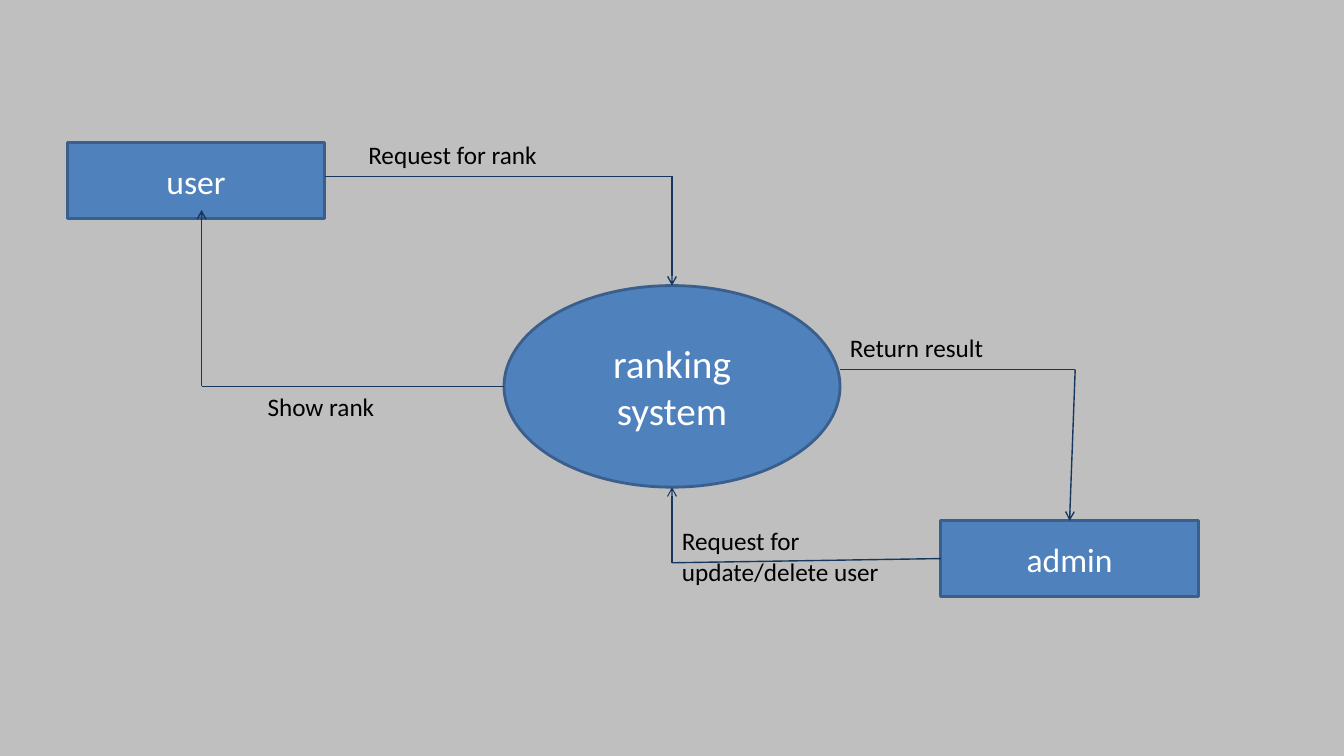
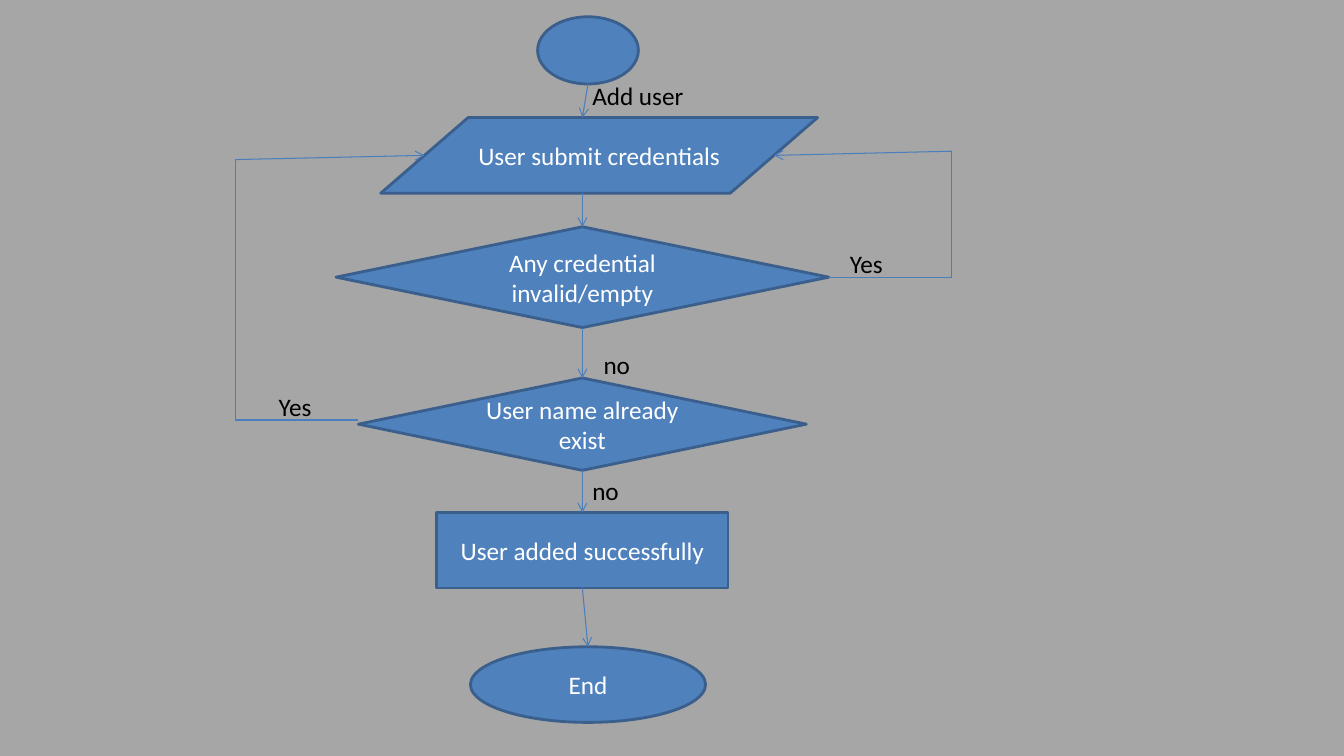
from dataclasses import dataclass
from itertools import pairwise

from lxml import etree
from pptx import Presentation
from pptx.dml.color import RGBColor
from pptx.enum.shapes import MSO_CONNECTOR, MSO_SHAPE
from pptx.enum.text import MSO_ANCHOR, MSO_AUTO_SIZE, PP_ALIGN
from pptx.oxml.ns import qn
from pptx.util import Inches, Pt

RECTANGLE = MSO_SHAPE.RECTANGLE
ELLIPSE = MSO_SHAPE.OVAL
DECISION = MSO_SHAPE.FLOWCHART_DECISION
INPUT = MSO_SHAPE.FLOWCHART_DATA
STRAIGHT = MSO_CONNECTOR.STRAIGHT
CENTER = PP_ALIGN.CENTER
MIDDLE = MSO_ANCHOR.MIDDLE
GROW = MSO_AUTO_SIZE.SHAPE_TO_FIT_TEXT
TOP, LEFT, BOTTOM, RIGHT = range(4)


@dataclass(frozen=True)
class Theme:
    font: str = "Calibri"
    data_flow_ground: str = "BFBFBF"
    flowchart_ground: str = "A6A6A6"
    node_fill: str = "4F81BD"
    node_line: str = "3A5F8C"
    node_text: str = "FFFFFF"
    label_text: str = "000000"
    data_flow_arrow: str = "17375E"
    flowchart_arrow: str = "4B7EBC"
    system_size: int = 28
    actor_size: int = 24
    body_size: int = 18
    node_weight: float = 2
    arrow_weight: float = 1
    thin_weight: float = 0.75


THEME = Theme()


@dataclass(frozen=True)
class Grid:
    """A box in inches, divided into 120 columns and 90 rows."""
    left: float
    top: float
    width: float
    height: float

    def size(self, columns, rows):
        return Inches(self.width * columns / 120), Inches(self.height * rows / 90)

    def point(self, column, row):
        across, down = self.size(column, row)
        return Inches(self.left) + across, Inches(self.top) + down

    def place(self, column, row, columns, rows):
        return *self.point(column, row), *self.size(columns, rows)


def write(shape, text, size, color):
    para = shape.text_frame.paragraphs[0]
    para.text = text
    para.font.name = THEME.font
    para.font.size = Pt(size)
    para.font.color.rgb = RGBColor.from_string(color)
    return para


def add_page(deck, ground):
    page = deck.slides.add_slide(deck.slide_layouts[6])
    page.background.fill.solid()
    page.background.fill.fore_color.rgb = RGBColor.from_string(ground)
    return page


def add_node(page, grid, kind, cells, text="", size=THEME.body_size):
    node = page.shapes.add_shape(kind, *grid.place(*cells))
    node.shadow.inherit = False
    node.fill.solid()
    node.fill.fore_color.rgb = RGBColor.from_string(THEME.node_fill)
    node.line.color.rgb = RGBColor.from_string(THEME.node_line)
    node.line.width = Pt(THEME.node_weight)
    if text:
        node.text_frame.vertical_anchor = MIDDLE
        write(node, text, size, THEME.node_text).alignment = CENTER
    return node


def add_label(page, grid, cells, text, wrap=True):
    label = page.shapes.add_textbox(*grid.place(*cells))
    label.text_frame.word_wrap = wrap
    label.text_frame.auto_size = GROW
    write(label, text, THEME.body_size, THEME.label_text)


def add_route(page, grid, points, color, weight, arrow=True, start=None, end=None):
    """Draw lines through the points; start and end are (node, side) joins."""
    lines = []
    for first, second in pairwise(points):
        line = page.shapes.add_connector(
            STRAIGHT, *grid.point(*first), *grid.point(*second))
        line.line.color.rgb = RGBColor.from_string(color)
        line.line.width = Pt(weight)
        etree.SubElement(line._element.spPr, qn("a:effectLst"))
        lines.append(line)
    if arrow:
        outline = lines[-1].line._get_or_add_ln()
        etree.SubElement(outline, qn("a:tailEnd"), type="arrow")
    if start:
        lines[0].begin_connect(*start)
    if end:
        lines[-1].end_connect(*end)


def draw_data_flow(page, grid):
    system = add_node(page, grid, ELLIPSE, (45, 34, 30, 24),
                      "ranking system", THEME.system_size)
    add_node(page, grid, RECTANGLE, (6, 17, 23, 9), "user", THEME.actor_size)
    admin = add_node(page, grid, RECTANGLE, (84, 62, 23, 9),
                     "admin", THEME.actor_size)

    color, weight = THEME.data_flow_arrow, THEME.arrow_weight
    add_route(page, grid, [(84, 66.5), (60, 67)], color, weight,
              arrow=False, start=(admin, LEFT))
    add_route(page, grid, [(60, 67), (60, 58)], color, THEME.thin_weight)
    add_route(page, grid, [(45, 46), (18, 46), (18, 25)], color, weight)
    add_route(page, grid, [(29, 21), (60, 21), (60, 34)], color, weight,
              end=(system, TOP))
    add_route(page, grid, [(75, 44), (96, 44), (95.5, 62)], color, weight,
              end=(admin, TOP))

    for cells, text in (
        ((32, 16, 29, 8.5), "Request for rank"),
        ((23, 46, 20, 4.8), "Show rank"),
        ((60, 62, 25, 8.5), "Request for update/delete user"),
        ((75, 39, 24, 4.8), "Return result"),
    ):
        add_label(page, grid, cells, text)


def draw_flowchart(page, grid):
    add_node(page, grid, ELLIPSE, (48, 2, 9, 8))
    add_node(page, grid, INPUT, (34, 14, 39, 9), "User submit credentials")
    validity = add_node(page, grid, DECISION, (30, 27, 44, 12),
                        "Any credential invalid/empty")
    duplicate = add_node(page, grid, DECISION, (32, 45, 40, 11),
                         "User name already exist")
    success = add_node(page, grid, RECTANGLE, (39, 61, 26, 9),
                       "User added successfully")
    finish = add_node(page, grid, ELLIPSE, (42, 77, 21, 9), "End")

    for points, start, end in (
        ([(52.5, 10), (52, 14)], None, None),
        ([(52, 23), (52, 27)], None, (validity, TOP)),
        ([(52, 39), (52, 45)], (validity, BOTTOM), (duplicate, TOP)),
        ([(52, 56), (52, 61)], (duplicate, BOTTOM), (success, TOP)),
        ([(52, 70), (52.5, 77)], (success, BOTTOM), (finish, TOP)),
        ([(74, 33), (85, 33), (85, 18), (69.1, 18.5)], (validity, RIGHT), None),
        ([(32, 50), (21, 50), (21, 19), (37.9, 18.5)], None, None),
    ):
        add_route(page, grid, points, THEME.flowchart_arrow, THEME.thin_weight,
                  start=start, end=end)

    for cells, text, wrap in (
        ((53, 41, 8, 4.8), "no", True),
        ((75, 29, 4.8, 4.8), "Yes", False),
        ((52, 56, 4.8, 4.8), "no", False),
        ((24, 46, 4.8, 4.8), "Yes", False),
        ((52, 9, 16, 4.8), "Add user", True),
    ):
        add_label(page, grid, cells, text, wrap)


def main():
    deck = Presentation()
    deck.slide_width, deck.slide_height = Inches(13.33), Inches(7.5)
    grid = Grid(0, 0, 13.33, 7.5)
    draw_data_flow(add_page(deck, THEME.data_flow_ground), grid)
    draw_flowchart(add_page(deck, THEME.flowchart_ground), grid)
    deck.save("out.pptx")


if __name__ == "__main__":
    main()
